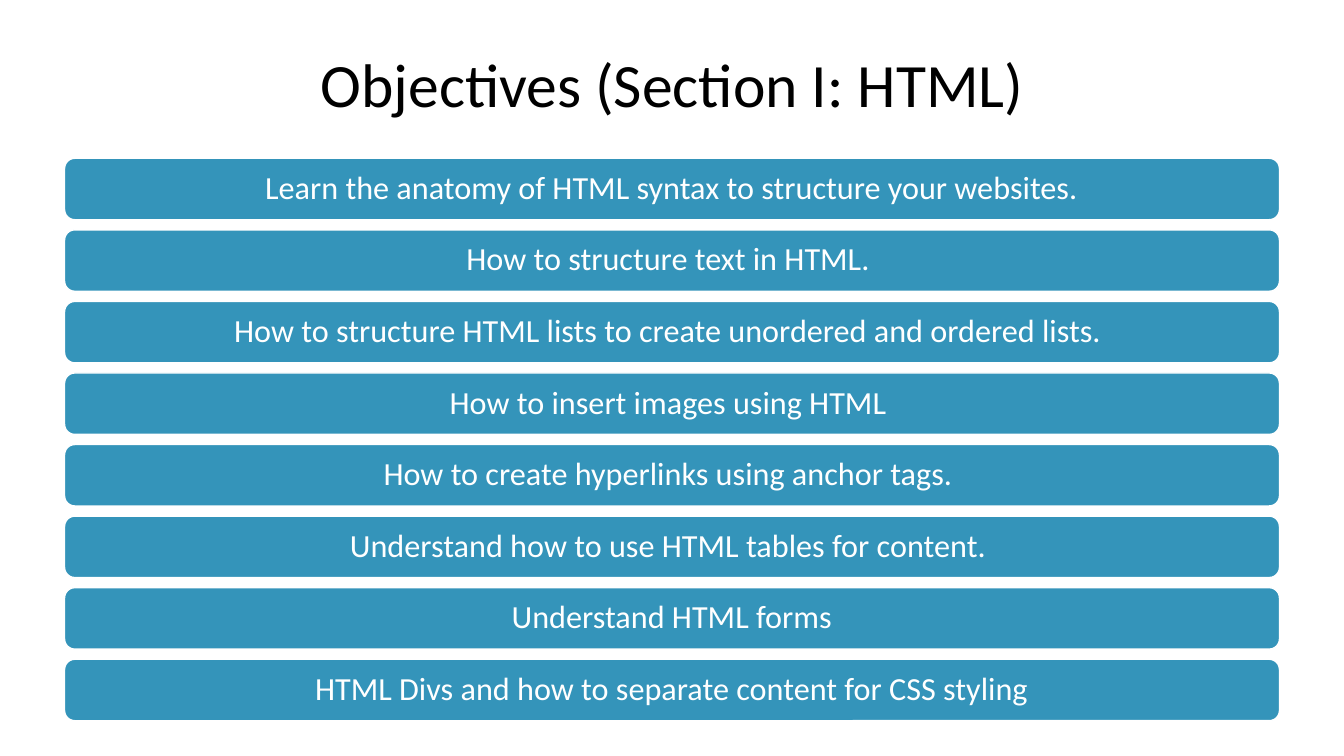
"""Build the HTML objectives slide: a title above a column of rounded bars."""
from pptx import Presentation
from pptx import util as u
from pptx.dml.color import RGBColor
from pptx.enum import shapes, text

FONT, BLUE, WHITE, BLACK = "Calibri", "3494BA", "FFFFFF", "000000"
LEFT, TOP, WIDTH, HEIGHT, PITCH = 0.64, 1.57, 12.05, 0.61, 0.71

OBJECTIVES = [
    "Learn the anatomy of HTML syntax to structure your websites.",
    "How to structure text in HTML. ",
    "How to structure HTML lists to create unordered and ordered lists. ",
    "How to insert images using HTML ",
    "How to create hyperlinks using anchor tags. ",
    "Understand how to use HTML tables for content. ",
    "Understand HTML forms",
    "HTML Divs and how to separate content for CSS styling",
]


def rgb(value):
    return RGBColor.from_string(value)


def write(sp, words, size, color, inset=0.1):
    tf = sp.text_frame
    tf.word_wrap = True
    tf.auto_size = text.MSO_AUTO_SIZE.NONE
    tf.vertical_anchor = text.MSO_ANCHOR.MIDDLE
    tf.margin_left = tf.margin_right = u.Inches(0.1)
    tf.margin_top = tf.margin_bottom = u.Inches(inset)
    p = tf.paragraphs[0]
    p.alignment = text.PP_ALIGN.CENTER
    p.line_spacing = 0.9
    r = p.add_run()
    r.text = words
    r.font.name = FONT
    r.font.size = u.Pt(size)
    r.font.color.rgb = rgb(color)


prs = Presentation()
prs.slide_width, prs.slide_height = u.Inches(13.33), u.Inches(7.5)
s = prs.slides.add_slide(prs.slide_layouts[5])

title = s.shapes.title
title.left, title.top = u.Inches(0.92), u.Inches(0.4)
title.width, title.height = u.Inches(11.5), u.Inches(0.93)
write(title, "Objectives (Section I: HTML)", size=44, color=BLACK, inset=0.05)

for row, objective in enumerate(OBJECTIVES):
    sp = s.shapes.add_shape(
        shapes.MSO_SHAPE.ROUNDED_RECTANGLE,
        u.Inches(LEFT), u.Inches(TOP + row * PITCH), u.Inches(WIDTH), u.Inches(HEIGHT))
    sp.shadow.inherit = False
    sp.fill.solid()
    sp.fill.fore_color.rgb = rgb(BLUE)
    sp.line.color.rgb = rgb(WHITE)
    sp.line.width = u.Pt(1)
    write(sp, objective, size=23, color=WHITE)

prs.save("out.pptx")
